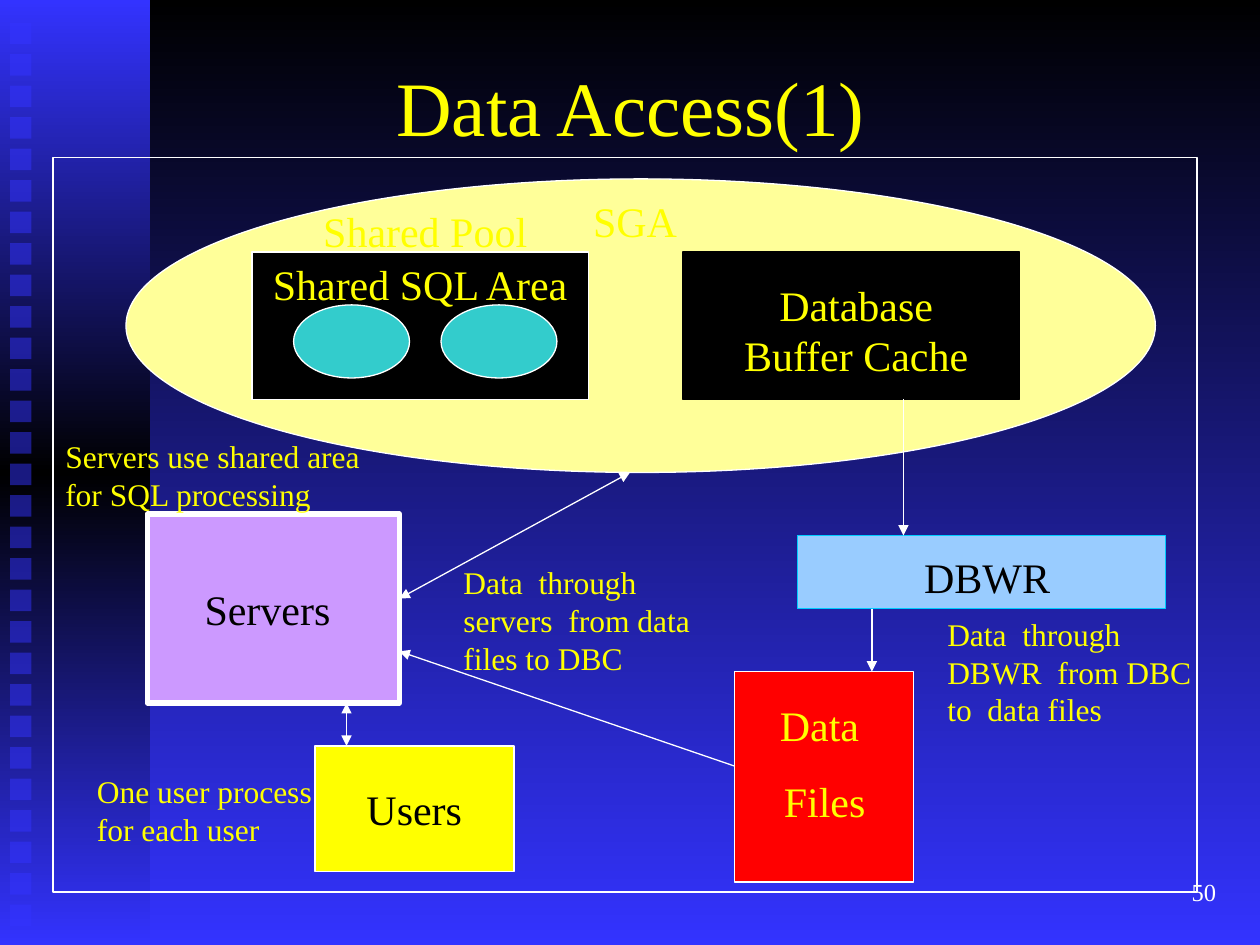
from copy import deepcopy

from pptx import Presentation
from pptx.dml.color import RGBColor
from pptx.enum.shapes import MSO_CONNECTOR, MSO_SHAPE
from pptx.enum.text import MSO_ANCHOR, MSO_AUTO_SIZE, PP_ALIGN
from pptx.oxml.ns import qn
from pptx.util import Inches, Pt

FONT = "Times New Roman"
C = {"black": "000000", "blue": "3333FF", "white": "FFFFFF", "yellow": "FFFF00",
     "cream": "FFFF99", "violet": "CC99FF", "sky": "99CCFF", "cyan": "00CCFF",
     "red": "FF0000", "teal": "33CCCC"}
RECT, OVAL = MSO_SHAPE.RECTANGLE, MSO_SHAPE.OVAL

# Shapes: kind, (left, top, width, height), fill, line, line width
MEMORY = [
    (OVAL, (1, 1.42, 8.17, 2.33), "cream", "white", 0.75),
    (RECT, (2, 2, 2.67, 1.17), "black", "white", 0.75),
    (RECT, (5.42, 2, 2.67, 1.17), "black", "black", 0.75),
]
PROCESSES = [
    (RECT, (1.17, 4.08, 2, 1.5), "violet", "white", 3),
    (RECT, (2.5, 5.92, 1.58, 1), "yellow", "white", 0.75),
    (RECT, (6.33, 4.25, 2.92, 0.58), "sky", "cyan", 0.75),
    (RECT, (5.83, 5.33, 1.42, 1.67), "red", "white", 0.75),
]
FRAME_AND_SQL = [
    (RECT, (0.42, 1.25, 9.08, 5.83), None, "white", 0.75),
    (OVAL, (2.33, 2.42, 0.92, 0.58), "teal", "white", 0.75),
    (OVAL, (3.5, 2.42, 0.92, 0.58), "teal", "white", 0.75),
]

# Arrows: from, to, arrowhead at both ends
ARROWS = [
    ((2.75, 5.58), (2.75, 5.92), True),
    ((3.17, 4.75), (5, 3.75), True),
    ((7.17, 3.17), (7.17, 4.25), False),
    ((6.92, 4.83), (6.92, 5.33), False),
    ((5.83, 6.08), (3.17, 5.17), False),
]

# Labels: text, (left, top, width, height), colour
LABELS = [
    ("Shared Pool", (2.25, 1.58, 2.25, 0.5), "yellow"),
    ("Database Buffer Cache", (5.67, 2.17, 2.25, 0.9), "yellow"),
    ("Servers ", (1.33, 4.58, 1.67, 0.5), "black"),
    ("Users ", (2.58, 6.17, 1.5, 0.5), "black"),
    ("DBWR", (6.42, 4.33, 2.83, 0.5), "black"),
    ("Data \nFiles", (5.92, 5.5, 1.25, 1.11), "yellow"),
    ("Shared SQL Area", (1.92, 2, 2.83, 0.5), "yellow"),
    ("SGA", (4.5, 1.5, 1.08, 0.5), "yellow"),
]
NOTES = [
    ("Data  through servers  from data files to DBC", (3.58, 4.42, 2.08, 1)),
    ("Data  through DBWR  from DBC to  data files", (7.42, 4.83, 2.17, 1)),
    ("Servers use shared area for SQL processing", (0.42, 3.42, 2.67, 0.7)),
    ("One user process for each user", (0.67, 6.08, 2.08, 0.7)),
]


def rgb(name):
    return RGBColor.from_string(C[name])


def inches(values):
    return [Inches(v) for v in values]


def set_gradient(fill, *names):
    """Vertical gradient with evenly spaced stops."""
    fill.gradient()
    fill.gradient_angle = 270
    stops = fill.gradient_stops
    first = stops[0]._gs
    while len(fill.gradient_stops) < len(names):
        first.addnext(deepcopy(first))
    for i, (stop, name) in enumerate(zip(fill.gradient_stops, names)):
        stop.color.rgb = rgb(name)
        stop.position = i / (len(names) - 1)


def add_shape(s, kind, box, fill=None, line=None, width=0.75):
    sp = s.shapes.add_shape(kind, *inches(box))
    sp.shadow.inherit = False
    if fill:
        sp.fill.solid()
        sp.fill.fore_color.rgb = rgb(fill)
    else:
        sp.fill.background()
    if line:
        sp.line.color.rgb = rgb(line)
        sp.line.width = Pt(width)
    else:
        sp.line.fill.background()
    return sp


def add_arrow(s, start, end, both):
    cn = s.shapes.add_connector(MSO_CONNECTOR.STRAIGHT, *inches(start + end))
    cn.line.color.rgb = rgb("white")
    cn.line.width = Pt(0.75)
    ln = cn.line._get_or_add_ln()
    for tag in (["a:headEnd"] if both else []) + ["a:tailEnd"]:
        ln.makeelement(qn(tag), {})
        end_el = ln.makeelement(qn(tag), {"type": "triangle", "w": "med", "len": "med"})
        ln.append(end_el)
    sp_pr = ln.getparent()
    sp_pr.append(sp_pr.makeelement(qn("a:effectLst"), {}))


def add_text(s, text, box, size=24, color="yellow", align=PP_ALIGN.CENTER,
             before=0, anchor=MSO_ANCHOR.TOP, grow=True):
    tf = s.shapes.add_textbox(*inches(box)).text_frame
    tf.word_wrap = True
    tf.vertical_anchor = anchor
    tf.auto_size = MSO_AUTO_SIZE.SHAPE_TO_FIT_TEXT if grow else MSO_AUTO_SIZE.NONE
    for i, line in enumerate(text.split("\n")):
        p = tf.paragraphs[0] if i == 0 else tf.add_paragraph()
        p.alignment = align
        p.space_before = Pt(before)
        r = p.add_run()
        r.text = line
        r.font.name = FONT
        r.font.size = Pt(size)
        r.font.color.rgb = rgb(color)


def main():
    prs = Presentation()
    prs.slide_width, prs.slide_height = Inches(10), Inches(7.5)
    s = prs.slides.add_slide(prs.slide_layouts[6])

    # Background, side band and its column of squares
    set_gradient(s.background.fill, "black", "blue")
    band = add_shape(s, RECT, (0, 0, 1.19, 7.5))
    set_gradient(band.fill, "blue", "black", "blue")
    for i in range(29):
        sq = add_shape(s, RECT, (0.08, 0.18 + 0.25 * i, 0.17, 0.17), "blue")
        clr = sq.fill._xPr.find(qn("a:solidFill"))[0]
        clr.append(clr.makeelement(qn("a:alpha"), {"val": "50000"}))

    # Diagram
    for shape in MEMORY + PROCESSES + FRAME_AND_SQL:
        add_shape(s, *shape)
    for arrow in ARROWS:
        add_arrow(s, *arrow)

    # Title, labels, notes and slide number
    add_text(s, "Data Access(1)", (0.67, 0.42, 8.67, 0.84), size=44, before=27.5)
    for text, box, color in LABELS:
        add_text(s, text, box, color=color, before=15)
    for text, box in NOTES:
        add_text(s, text, box, size=18, align=PP_ALIGN.LEFT, before=11.2)
    add_text(s, "50", (7.67, 6.83, 2.08, 0.5), size=14, color="white",
             align=PP_ALIGN.RIGHT, anchor=MSO_ANCHOR.MIDDLE, grow=False)

    prs.save("out.pptx")


if __name__ == "__main__":
    main()
